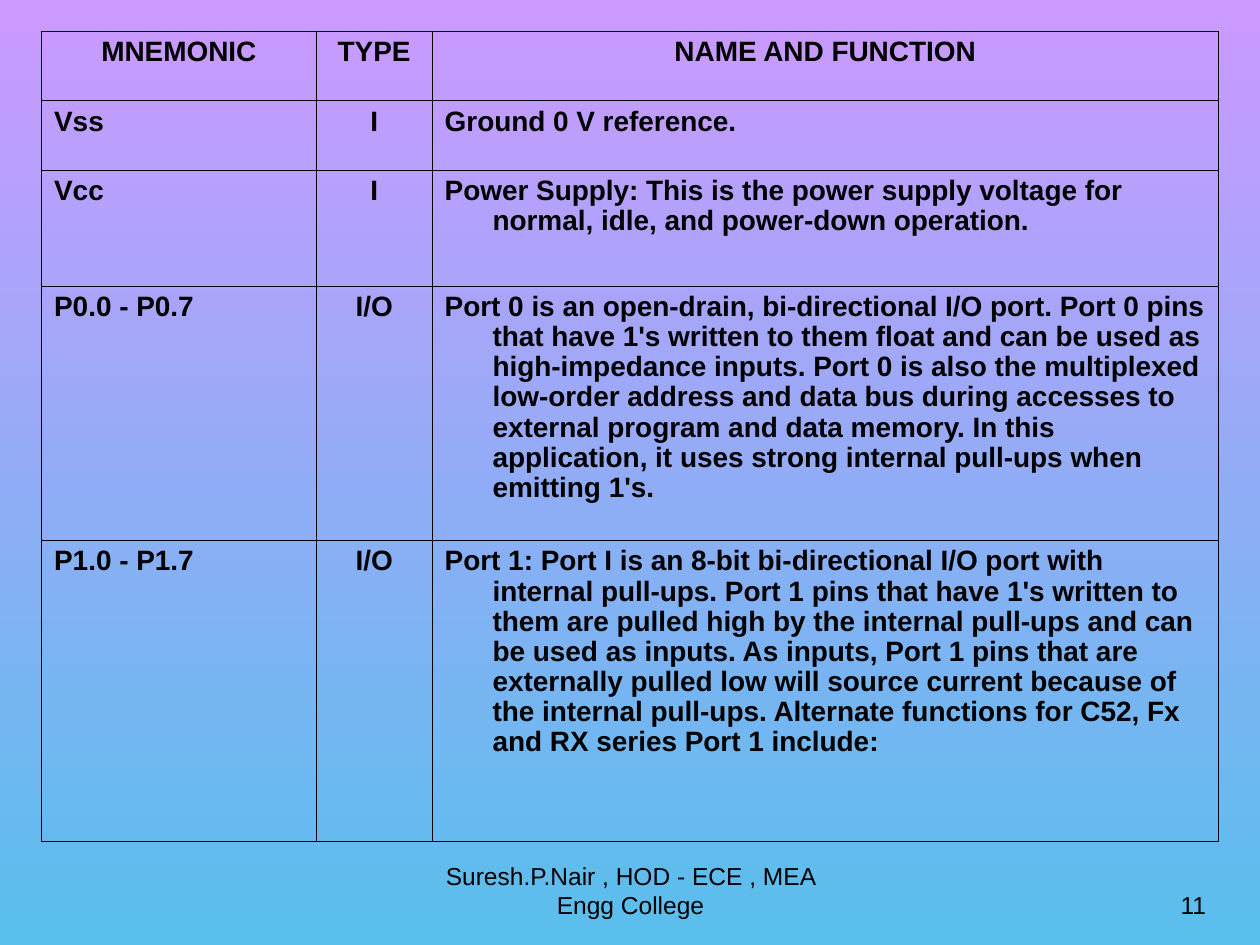
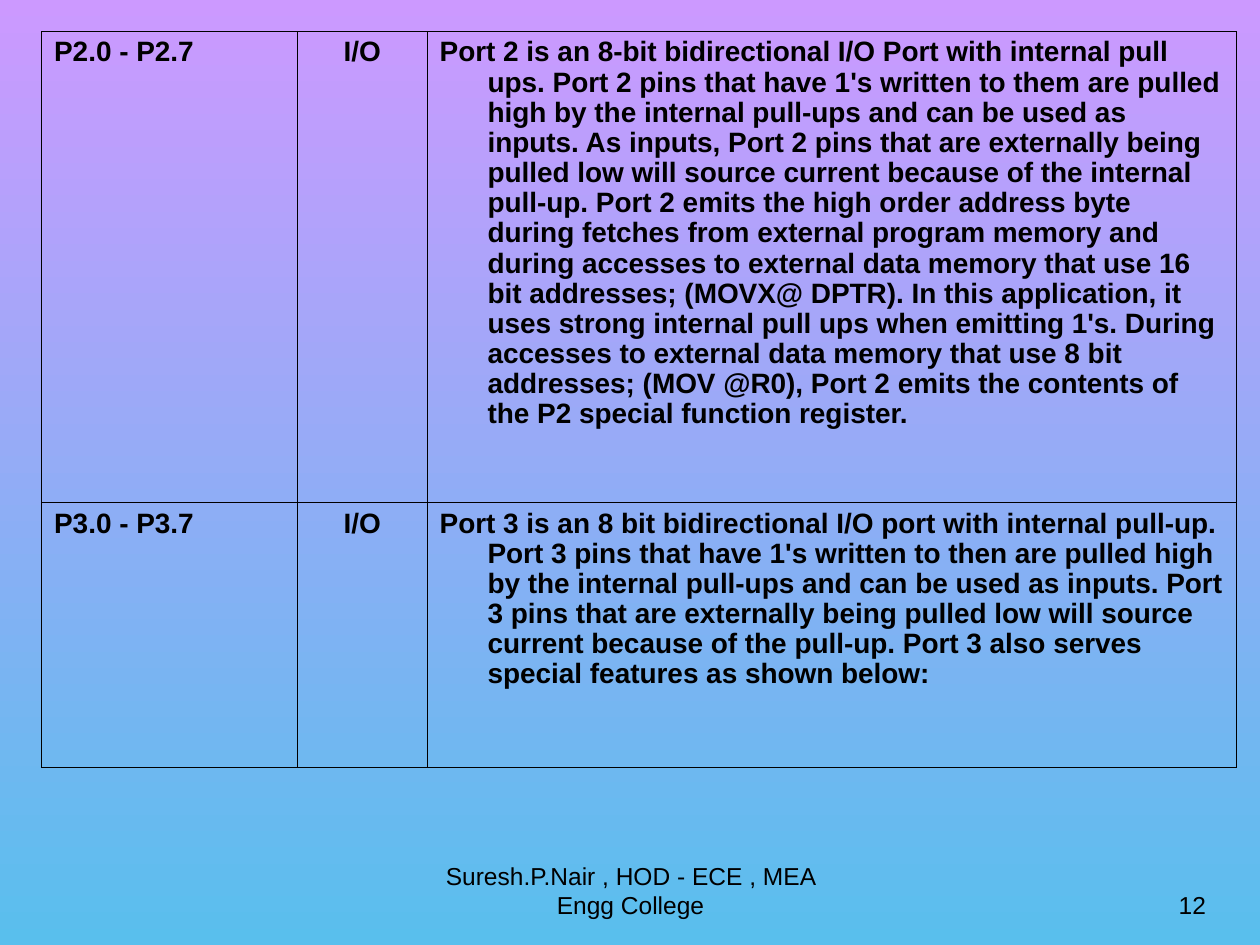
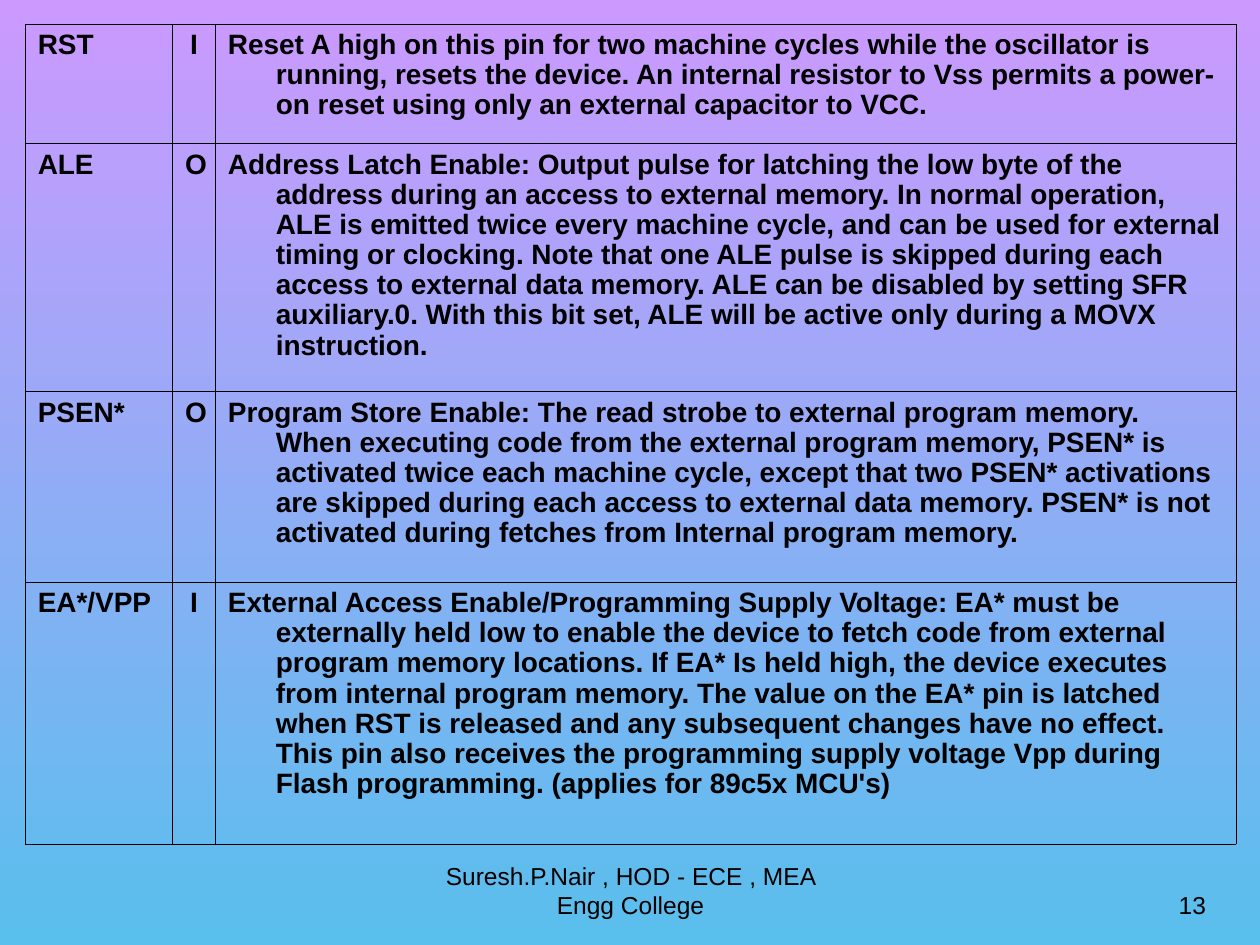
from dataclasses import dataclass

from lxml import etree
from pptx import Presentation
from pptx import util as u
from pptx.dml.color import RGBColor
from pptx.enum import text
from pptx.oxml import ns

LEFT, CENTER, RIGHT = text.PP_ALIGN.LEFT, text.PP_ALIGN.CENTER, text.PP_ALIGN.RIGHT


@dataclass(frozen=True)
class Theme:
    font: str = "Arial"
    ink: str = "000000"
    sky_top: str = "CC99FF"
    sky_bottom: str = "59BFED"
    table_size: float = 16
    footer_size: float = 14
    border: float = 0.45
    hanging: float = 0.38
    line_spacing: float = 0.97


FOOTER = "Suresh.P.Nair , HOD - ECE , MEA Engg College"
FIRST_NUMBER = 11
HEADER = ("MNEMONIC", "TYPE", "NAME AND FUNCTION")

PIN_TABLES = [
    dict(left=0.33, top=0.25, widths=(2.18, 0.92, 6.24), header=True,
         heights=(0.55, 0.55, 0.92, 2.02, 2.39), rows=[
        HEADER,
        ("Vss", "I", "Ground 0 V reference."),
        ("Vcc", "I", "Power Supply: This is the power supply voltage for normal, idle, "
         "and power-down operation."),
        ("P0.0 - P0.7", "I/O",
         "Port 0 is an open-drain, bi-directional I/O port. Port 0 pins that have 1's "
         "written to them float and can be used as high-impedance inputs. Port 0 is also "
         "the multiplexed low-order address and data bus during accesses to external "
         "program and data memory. In this application, it uses strong internal pull-ups "
         "when emitting 1's."),
        ("P1.0 - P1.7", "I/O",
         "Port 1: Port I is an 8-bit bi-directional I/O port with internal pull-ups. "
         "Port 1 pins that have 1's written to them are pulled high by the internal "
         "pull-ups and can be used as inputs. As inputs, Port 1 pins that are externally "
         "pulled low will source current because of the internal pull-ups. Alternate "
         "functions for C52, Fx and RX series Port 1 include:"),
    ]),
    dict(left=0.33, top=0.25, widths=(2.03, 1.03, 6.42), heights=(3.74, 2.1), rows=[
        ("P2.0 - P2.7", "I/O",
         "Port 2 is an 8-bit bidirectional I/O Port with internal pull ups. Port 2 pins "
         "that have 1's written to them are pulled high by the internal pull-ups and can "
         "be used as inputs. As inputs, Port 2 pins that are externally being pulled low "
         "will source current because of the internal pull-up. Port 2 emits the high "
         "order address byte during fetches from external program memory and during "
         "accesses to external data memory that use 16 bit addresses; (MOVX@ DPTR). In "
         "this application, it uses strong internal pull ups when emitting 1's. During "
         "accesses to external data memory that use 8 bit addresses; (MOV @R0), Port 2 "
         "emits the contents of the P2 special function register."),
        ("P3.0 - P3.7", "I/O",
         "Port 3 is an 8 bit bidirectional I/O port with internal pull-up. Port 3 pins "
         "that have 1's written to then are pulled high by the internal pull-ups and can "
         "be used as inputs. Port 3 pins that are externally being pulled low will source "
         "current because of the pull-up. Port 3 also serves special features as shown "
         "below:"),
    ]),
    dict(left=0.2, top=0.19, widths=(1.17, 0.34, 8.1), heights=(0.95, 1.97, 1.51, 2.08), rows=[
        ("RST", "I",
         "Reset A high on this pin for two machine cycles while the oscillator is running, "
         "resets the device. An internal resistor to Vss permits a power-on reset using "
         "only an external capacitor to VCC."),
        ("ALE", "O",
         "Address Latch Enable: Output pulse for latching the low byte of the address "
         "during an access to external memory. In normal operation, ALE is emitted twice "
         "every machine cycle, and can be used for external timing or clocking. Note that "
         "one ALE pulse is skipped during each access to external data memory. ALE can be "
         "disabled by setting SFR auxiliary.0. With this bit set, ALE will be active only "
         "during a MOVX instruction."),
        ("PSEN*", "O",
         "Program Store Enable: The read strobe to external program memory. When executing "
         "code from the external program memory, PSEN* is activated twice each machine "
         "cycle, except that two PSEN* activations are skipped during each access to "
         "external data memory. PSEN* is not activated during fetches from Internal "
         "program memory."),
        ("EA*/VPP", "I",
         "External Access Enable/Programming Supply Voltage: EA* must be externally held "
         "low to enable the device to fetch code from external program memory locations. "
         "If EA* Is held high, the device executes from internal program memory. The value "
         "on the EA* pin is latched when RST is released and any subsequent changes have "
         "no effect. This pin also receives the programming supply voltage Vpp during "
         "Flash programming. (applies for 89c5x MCU's)"),
    ]),
]


def set_text(tf, words, *, font, size, color, bold=False, align=LEFT, hanging=0, spacing=None):
    """Fill the first paragraph of a text frame; hanging is the indent in inches."""
    tf.word_wrap = True
    p = tf.paragraphs[0]
    p.alignment = align
    if spacing:
        p.line_spacing = spacing
    if hanging:
        pPr = p._p.get_or_add_pPr()
        pPr.set("marL", str(u.Inches(hanging)))
        pPr.set("indent", str(-u.Inches(hanging)))
    r = p.add_run()
    r.text = words
    r.font.name, r.font.size, r.font.bold = font, u.Pt(size), bold
    r.font.color.rgb = RGBColor.from_string(color)


class Deck:
    def __init__(self, theme):
        self.theme = theme
        self.prs = Presentation()
        self.prs.slide_width, self.prs.slide_height = u.Inches(10), u.Inches(7.5)
        self.s = None
        self.paint_background()

    def paint_background(self):
        fill = self.prs.slide_master.background.fill
        fill.gradient()
        fill.gradient_angle = 270
        for stop, position, color in zip(fill.gradient_stops, (0, 1),
                                         (self.theme.sky_top, self.theme.sky_bottom)):
            stop.position = position
            stop.color.rgb = RGBColor.from_string(color)

    def add_slide(self):
        self.s = self.prs.slides.add_slide(self.prs.slide_layouts.get_by_name("Blank"))

    def themed_text(self, tf, words, **fmt):
        set_text(tf, words, font=self.theme.font, color=self.theme.ink, **fmt)

    def border_cell(self, cell):
        tcPr = cell._tc.get_or_add_tcPr()
        for side in ("lnL", "lnR", "lnT", "lnB"):
            ln = etree.SubElement(tcPr, ns.qn(f"a:{side}"), w=str(u.Pt(self.theme.border)))
            solid = etree.SubElement(ln, ns.qn("a:solidFill"))
            etree.SubElement(solid, ns.qn("a:srgbClr"), val=self.theme.ink)

    def pin_table(self, left, top, widths, heights, rows, header=False):
        frame = self.s.shapes.add_table(
            len(rows), len(widths), u.Inches(left), u.Inches(top),
            u.Inches(sum(widths)), u.Inches(sum(heights)))
        table = frame.table
        table.first_row, table.horz_banding = header, False
        for column, width in zip(table.columns, widths):
            column.width = u.Inches(width)
        for i, (row, height, entries) in enumerate(zip(table.rows, heights, rows)):
            row.height = u.Inches(height)
            for j, (cell, words) in enumerate(zip(row.cells, entries)):
                centered = j == 1 or (header and i == 0)
                self.border_cell(cell)
                cell.fill.background()
                self.themed_text(cell.text_frame, words, size=self.theme.table_size,
                                 bold=True, align=CENTER if centered else LEFT,
                                 hanging=self.theme.hanging,
                                 spacing=self.theme.line_spacing)

    def footer_box(self, words, left, width, align):
        sp = self.s.shapes.add_textbox(
            u.Inches(left), u.Inches(6.83), u.Inches(width), u.Inches(0.52))
        tf = sp.text_frame
        tf.vertical_anchor = text.MSO_ANCHOR.BOTTOM
        self.themed_text(tf, words, size=self.theme.footer_size, align=align)

    def footer(self, number):
        self.footer_box(FOOTER, 3.42, 3.17, CENTER)
        self.footer_box(str(number), 7.17, 2.5, RIGHT)


def main():
    deck = Deck(Theme())
    for number, pins in enumerate(PIN_TABLES, FIRST_NUMBER):
        deck.add_slide()
        deck.pin_table(**pins)
        deck.footer(number)
    deck.prs.save("out.pptx")


if __name__ == "__main__":
    main()
